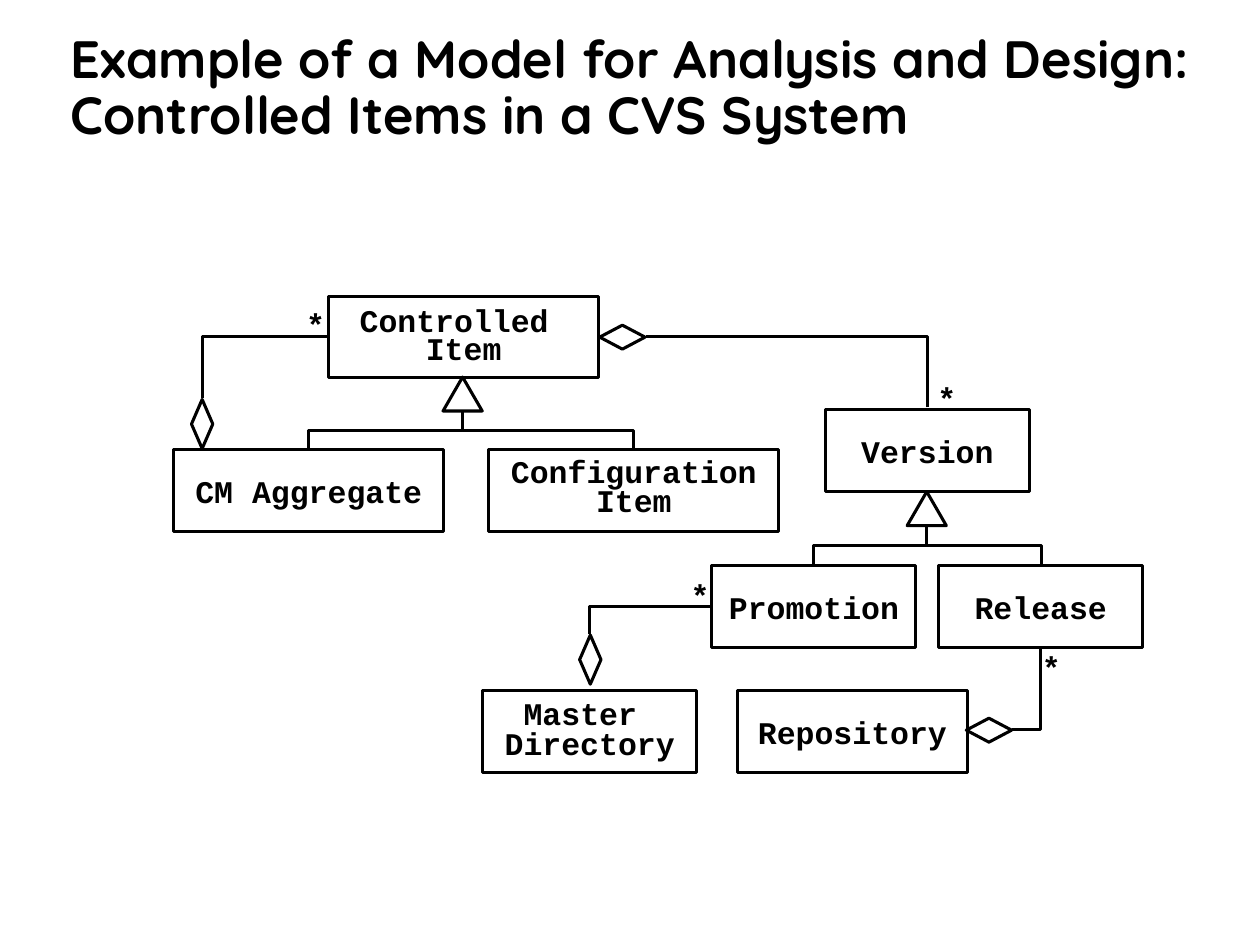
from pptx import Presentation
from pptx.dml.color import RGBColor
from pptx.enum.shapes import MSO_CONNECTOR, MSO_SHAPE
from pptx.enum.text import MSO_ANCHOR as Anchor, MSO_AUTO_SIZE as AutoSize, PP_ALIGN as Align
from pptx.oxml.ns import qn
from pptx.util import Pt

BLACK = "000000"
WHITE = "FFFFFF"
LINE_WIDTH = 1.75
BOX_HEIGHT = 46.8

BOXES = [
    (187.9, 169.2, 154.1, [("Controlled ", 0.8), ("Item", 0.7)]),
    (99.4, 257, 154.1, [("CM Aggregate", 1.0)]),
    (279.4, 257, 165.6, [("Configuration", 0.7), ("Item", 0.8)]),
    (471.6, 234, 116.6, [("Version", 1.0)]),
    (406.8, 323.3, 116.6, [("Promotion", 1.0)]),
    (536.4, 323.3, 116.6, [("Release", 1.0)]),
    (275.8, 394.6, 122.4, [("Master ", 0.8), ("Directory", 0.8)]),
    (421.2, 394.6, 131.8, [("Repository", 1.0)]),
]
MULTIPLICITIES = [(535.7, 216.7), (175, 174.2), (394.6, 329), (595.4, 370.1)]
AGGREGATIONS = [
    (342.7, 185.8, 25.9, 13.7, 0),
    (552.2, 410.4, 25.9, 13.7, 0),
    (101.5, 236.2, 28.1, 12.2, 270),
    (323.3, 370.8, 28.1, 12.2, 270),
]
ASSOCIATIONS = [
    (115.9, 227.5, 187.5, 192.2),
    (337, 362.2, 406.3, 346.3),
    (529.9, 232.8, 369.4, 192.2),
    (594.7, 370.8, 578.2, 416.9),
]
GENERALIZATIONS = [
    (264.4, 215.5, [176.4, 362.2]),
    (529.6, 281, [465.1, 594.9]),
]


def color(value):
    return RGBColor.from_string(value)


def format_line(shape):
    shape.line.color.rgb = color(BLACK)
    shape.line.width = Pt(LINE_WIDTH)


def format_runs(paragraph, font_name, size):
    for run in paragraph.runs:
        run.font.name = font_name
        run.font.size = Pt(size)
        run.font.bold = True
        run.font.color.rgb = color(BLACK)


def set_title(slide, text):
    title = slide.shapes.title
    title.left, title.top, title.width, title.height = Pt(33.1), Pt(17.3), Pt(662.4), Pt(67.7)
    text_frame = title.text_frame
    text_frame.text = text
    text_frame.auto_size = AutoSize.NONE
    text_frame.vertical_anchor = Anchor.MIDDLE
    paragraph = text_frame.paragraphs[0]
    paragraph.alignment = Align.LEFT
    paragraph.line_spacing = 0.9
    format_runs(paragraph, "Quicksand", 30)


def add_class_box(slide, left, top, width, lines):
    shape = slide.shapes.add_shape(
        MSO_SHAPE.RECTANGLE, Pt(left), Pt(top), Pt(width), Pt(BOX_HEIGHT))
    shape.shadow.inherit = False
    shape.fill.background()
    format_line(shape)
    text_frame = shape.text_frame
    text_frame.vertical_anchor = Anchor.MIDDLE
    text_frame.text = "\n".join(text for text, _ in lines)
    for paragraph, (_, spacing) in zip(text_frame.paragraphs, lines):
        paragraph.alignment = Align.CENTER
        paragraph.line_spacing = spacing
        format_runs(paragraph, "Courier New", 18)


def add_multiplicity(slide, left, top):
    text_frame = slide.shapes.add_textbox(Pt(left), Pt(top), Pt(10.8), Pt(21.6)).text_frame
    text_frame.margin_left = text_frame.margin_right = 0
    text_frame.margin_top = text_frame.margin_bottom = 0
    text_frame.word_wrap = False
    text_frame.auto_size = AutoSize.SHAPE_TO_FIT_TEXT
    text_frame.text = "*"
    format_runs(text_frame.paragraphs[0], "Courier New", 18)


def add_diamond(slide, left, top, width, height, rotation):
    shape = slide.shapes.add_shape(
        MSO_SHAPE.DIAMOND, Pt(left), Pt(top), Pt(width), Pt(height))
    shape.rotation = rotation
    shape.shadow.inherit = False
    shape.fill.solid()
    shape.fill.fore_color.rgb = color(WHITE)
    format_line(shape)


def add_triangle(slide, x, top):
    half_width, height = 11.2, 19.4
    builder = slide.shapes.build_freeform(Pt(x), Pt(top))
    builder.add_line_segments([
        (Pt(x + half_width), Pt(top + height)),
        (Pt(x - half_width), Pt(top + height)),
    ], close=True)
    shape = builder.convert_to_shape()
    shape.shadow.inherit = False
    shape.fill.background()
    format_line(shape)


def add_vertical_elbow(slide, start_x, start_y, end_x, end_y, preset):
    center_x, center_y = (start_x + end_x) / 2, (start_y + end_y) / 2
    down = end_y > start_y
    half_run = abs(end_y - start_y) / 2
    half_rise = (start_x - end_x) / 2 if down else (end_x - start_x) / 2
    connector = slide.shapes.add_connector(
        MSO_CONNECTOR.ELBOW,
        Pt(center_x - half_run), Pt(center_y - half_rise),
        Pt(center_x + half_run), Pt(center_y + half_rise))
    format_line(connector)
    properties = connector.element.spPr
    properties.find(qn("a:xfrm")).set("rot", str((90 if down else 270) * 60000))
    properties.find(qn("a:prstGeom")).set("prst", preset)
    properties.append(properties.makeelement(qn("a:effectLst"), {}))


def add_generalization(slide, x, top, child_centers):
    for child_x in child_centers:
        add_vertical_elbow(slide, x, top + 20, child_x, top + 41.2, "bentConnector3")
    add_triangle(slide, x, top)


def main():
    presentation = Presentation()
    presentation.slide_width, presentation.slide_height = Pt(720), Pt(540)
    slide = presentation.slides.add_slide(presentation.slide_layouts[5])
    set_title(slide, "Example of a Model for Analysis and Design:\vControlled Items in a CVS System")
    for box in BOXES:
        add_class_box(slide, *box)
    for position in MULTIPLICITIES:
        add_multiplicity(slide, *position)
    for diamond in AGGREGATIONS:
        add_diamond(slide, *diamond)
    for association in ASSOCIATIONS:
        add_vertical_elbow(slide, *association, "bentConnector2")
    for generalization in GENERALIZATIONS:
        add_generalization(slide, *generalization)
    presentation.save("out.pptx")


if __name__ == "__main__":
    main()
